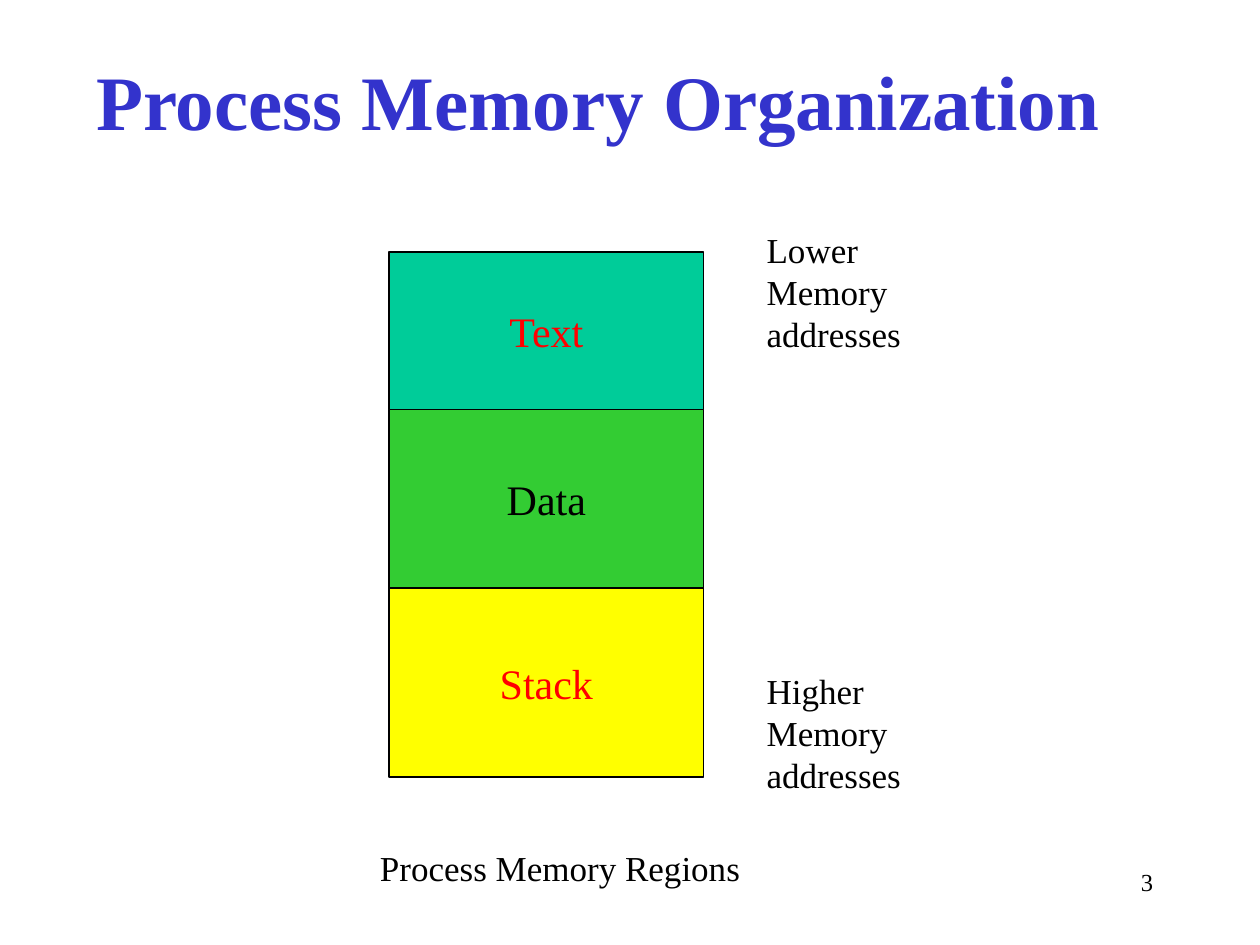
from pptx import Presentation
from pptx.dml.color import RGBColor
from pptx.enum.shapes import MSO_SHAPE
from pptx.enum.text import MSO_ANCHOR, MSO_AUTO_SIZE, PP_ALIGN
from pptx.util import Inches, Pt

COLORS = {"title": "3333CC", "ink": "000000", "accent": "FF0000",
          "text": "00CC99", "data": "33CC33", "stack": "FFFF00"}
FONT = "Times New Roman"
CELL = Inches(10) / 120


def rgb(name):
    return RGBColor.from_string(COLORS[name])


def place(box):
    return [round(v * CELL) for v in box]


def write(tf, lines, size, color="ink", align=PP_ALIGN.LEFT, bold=False,
          anchor=MSO_ANCHOR.TOP, wrap=False):
    tf.word_wrap = wrap
    tf.vertical_anchor = anchor
    for i, line in enumerate(lines):
        p = tf.add_paragraph() if i else tf.paragraphs[0]
        p.text = line
        p.alignment = align
        p.font.name, p.font.size, p.font.bold = FONT, Pt(size), bold
        p.font.color.rgb = rgb(color)


def add_title(s, box, text):
    sp = s.shapes.title
    sp.left, sp.top, sp.width, sp.height = place(box)
    write(sp.text_frame, [text], 44, "title", PP_ALIGN.CENTER, True,
          MSO_ANCHOR.MIDDLE, True)


def add_number(s, box, text):
    sp = s.shapes.add_textbox(*place(box))
    write(sp.text_frame, [text], 14, align=PP_ALIGN.RIGHT, wrap=True)


def add_label(s, box, lines):
    sp = s.shapes.add_textbox(*place(box))
    write(sp.text_frame, lines, 20)
    sp.text_frame.auto_size = MSO_AUTO_SIZE.SHAPE_TO_FIT_TEXT


def add_memory(s, box, regions):
    left, top, width, height = box
    total = sum(share for _, share, _, _ in regions)
    for name, share, fill, color in regions:
        rows = height * share / total
        sp = s.shapes.add_shape(MSO_SHAPE.RECTANGLE,
                                *place((left, top, width, rows)))
        sp.shadow.inherit = False
        sp.fill.solid()
        sp.fill.fore_color.rgb = rgb(fill)
        sp.line.color.rgb = rgb("ink")
        sp.line.width = Pt(0.75)
        write(sp.text_frame, [name], 24, color, PP_ALIGN.CENTER,
              anchor=MSO_ANCHOR.MIDDLE)
        top += rows


def add_addresses(s, box, ends):
    left, top, width, height = box
    rows = 13.2
    step = (height - rows) / (len(ends) - 1)
    for i, end in enumerate(ends):
        add_label(s, (left, top + i * step, width, rows),
                  [end, "Memory", "addresses"])


def main():
    prs = Presentation()
    prs.slide_width, prs.slide_height = Inches(10), Inches(7.5)
    s = prs.slides.add_slide(prs.slide_layouts[5])
    add_number(s, (86, 82, 25, 6), "3")
    add_title(s, (6, 2, 102, 15), "Process Memory Organization")
    add_memory(s, (37.04, 24, 30, 50), [
        ("Text", 15, "text", "accent"),
        ("Data", 17, "data", "ink"),
        ("Stack", 18, "stack", "accent"),
    ])
    add_addresses(s, (71.83, 21.2, 15.2, 55.2), ["Lower", "Higher"])
    add_label(s, (35, 80, 36.75, 5.3), ["Process Memory Regions"])
    prs.save("out.pptx")


if __name__ == "__main__":
    main()
